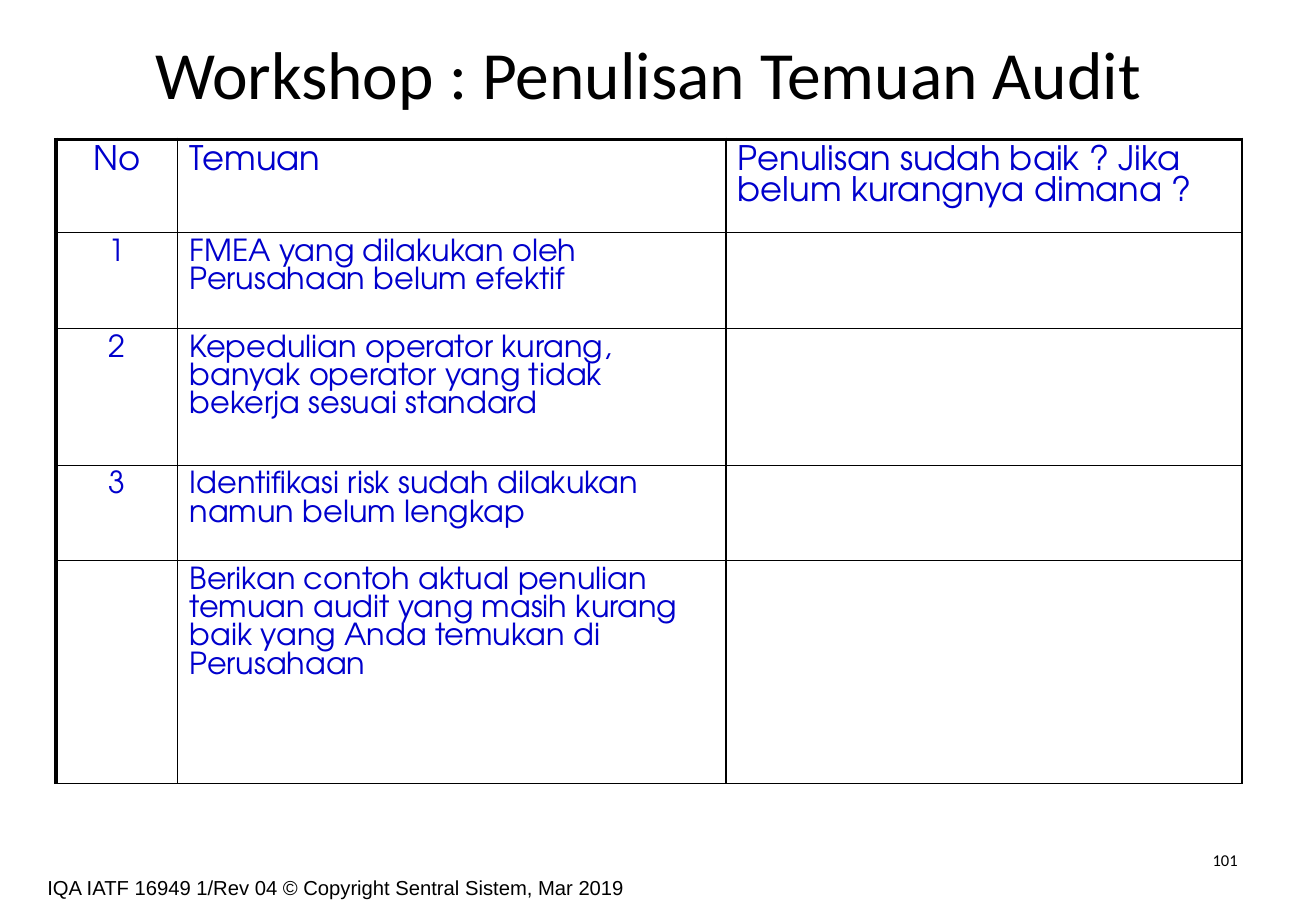
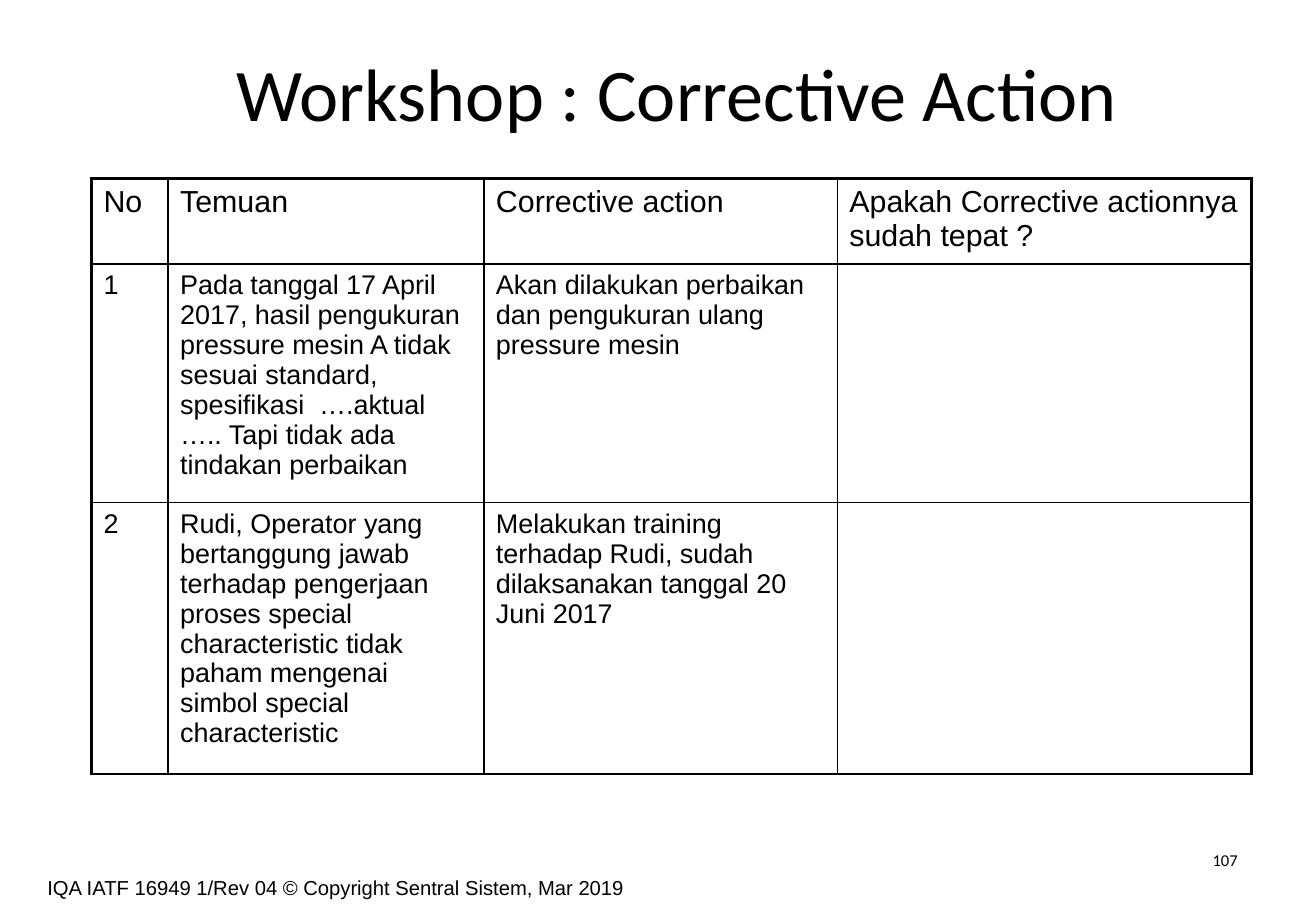
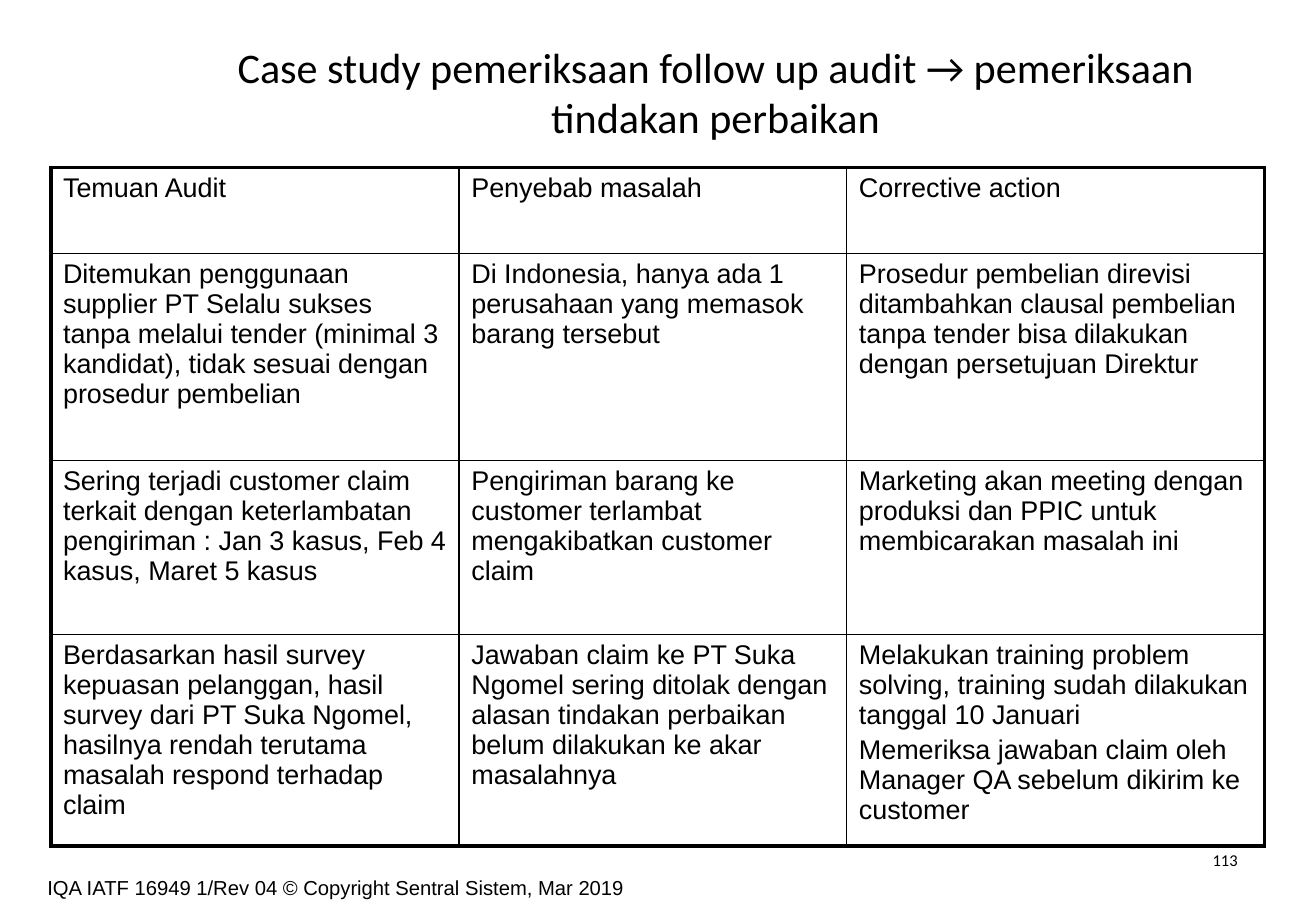
from lxml.etree import SubElement
from pptx import Presentation
from pptx.dml.color import RGBColor
from pptx.enum.text import MSO_ANCHOR, PP_ALIGN
from pptx.oxml.ns import qn
from pptx.util import Pt

COLORS = {"ink": "000000", "blue": "0000CC", "paper": "FFFFFF"}
HEAVY, THIN = 2.25, 1
FOOTER = "IQA IATF 16949 1/Rev 04 © Copyright Sentral Sistem, Mar 2019"


def write(tf, text, size=16, font="Arial", color="ink", align=PP_ALIGN.LEFT, gap=3):
    """Fill a text frame, one paragraph per line of text."""
    for i, line in enumerate(text.split("\n")):
        p = tf.paragraphs[0] if i == 0 else tf.add_paragraph()
        p.alignment = align
        if i:
            p.space_before = Pt(gap)
        r = p.add_run()
        r.text = line
        r.font.size = Pt(size)
        r.font.name = font
        r.font.color.rgb = RGBColor.from_string(COLORS[color])


def set_borders(cell, widths):
    """Draw cell borders; widths maps the sides L, R, T, B to points."""
    tc_pr = cell._tc.get_or_add_tcPr()
    for side in "LRTB":
        ln = SubElement(tc_pr, qn(f"a:ln{side}"), w=str(Pt(widths[side])))
        fill = SubElement(ln, qn("a:solidFill"))
        SubElement(fill, qn("a:srgbClr"), val=COLORS["ink"])


class Deck:
    def __init__(self, width, height):
        self.prs = Presentation()
        self.prs.slide_width, self.prs.slide_height = Pt(width), Pt(height)
        self.slide = None

    def text_box(self, box, text, anchor=MSO_ANCHOR.TOP, **style):
        tf = self.slide.shapes.add_textbox(*map(Pt, box)).text_frame
        tf.word_wrap = True
        tf.vertical_anchor = anchor
        write(tf, text, **style)

    def new_slide(self, title, title_box, title_size, number):
        """Start a slide with its title, footer and page number."""
        self.slide = self.prs.slides.add_slide(self.prs.slide_layouts[6])
        fill = self.slide.background.fill
        fill.solid()
        fill.fore_color.rgb = RGBColor.from_string(COLORS["paper"])
        self.text_box((21, 515, 431, 29), FOOTER, size=12)
        self.text_box(title_box, title, anchor=MSO_ANCHOR.MIDDLE,
                      size=title_size, font="Calibri", align=PP_ALIGN.CENTER)
        self.text_box((558.7, 500.4, 182, 29), str(number), size=9.8,
                      font="Calibri", align=PP_ALIGN.RIGHT)

    def table(self, left, top, cols, heights, rows, heavy, head_size=16,
              body_size=16, centered=(), **style):
        """Add a ruled table; heavy names its thick outer sides."""
        frame = self.slide.shapes.add_table(
            len(rows), len(cols), Pt(left), Pt(top), Pt(sum(cols)), Pt(sum(heights)))
        tbl = frame.table
        tbl.first_row = tbl.horz_banding = False
        for col, width in zip(tbl.columns, cols):
            col.width = Pt(width)
        for row, height in zip(tbl.rows, heights):
            row.height = Pt(height)
        for i, texts in enumerate(rows):
            for j, text in enumerate(texts):
                cell = tbl.cell(i, j)
                outer = {"L": j == 0, "R": j == len(cols) - 1,
                         "T": i == 0, "B": i == len(rows) - 1}
                set_borders(cell, {side: HEAVY if at_edge and side in heavy else THIN
                                   for side, at_edge in outer.items()})
                cell.fill.background()
                if text:
                    write(cell.text_frame, text,
                          size=body_size if i else head_size,
                          align=PP_ALIGN.CENTER if j in centered else PP_ALIGN.LEFT,
                          **style)


def main():
    deck = Deck(780, 540)

    deck.new_slide("Workshop : Penulisan Temuan Audit", (27.4, -2, 713.5, 90), 40, 101)
    deck.table(
        33.2, 82.6, (72, 325, 306), (44.5, 57, 81, 56.5, 132),
        [
            ("No", "Temuan", "Penulisan sudah baik ? Jika belum kurangnya dimana ?"),
            ("1", "FMEA yang dilakukan oleh Perusahaan belum efektif", ""),
            ("2", "Kepedulian operator kurang, banyak operator yang tidak "
                  "bekerja sesuai standard", ""),
            ("3", "Identifikasi risk sudah dilakukan namun belum lengkap", ""),
            ("", "Berikan contoh aktual penulian temuan audit yang masih kurang "
                 "baik yang Anda temukan di Perusahaan", ""),
        ],
        heavy="LT", head_size=20, body_size=18, centered=(0,),
        font="TeX Gyre Adventor", color="blue")

    deck.new_slide("Workshop : Corrective Action", (50.5, 9.4, 702, 90), 44, 107)
    deck.table(
        54.2, 106, (45.4, 187.2, 209.5, 245.5), (47.4, 131.6, 148.7),
        [
            ("No", "Temuan", "Corrective action",
             "Apakah Corrective actionnya sudah tepat ?"),
            ("1", "Pada tanggal 17 April 2017, hasil pengukuran pressure mesin A "
                  "tidak sesuai standard, spesifikasi  ….aktual ….. Tapi tidak ada "
                  "tindakan perbaikan",
             "Akan dilakukan perbaikan dan pengukuran ulang pressure mesin", ""),
            ("2", "Rudi, Operator yang bertanggung jawab terhadap pengerjaan proses "
                  "special characteristic tidak paham mengenai simbol special "
                  "characteristic",
             "Melakukan training terhadap Rudi, sudah dilaksanakan tanggal "
             "20 Juni 2017", ""),
        ],
        heavy="LTR", head_size=18)

    deck.new_slide("Case study pemeriksaan follow up audit → pemeriksaan "
                   "tindakan perbaikan", (107.3, 9.4, 633.6, 90), 25, 113)
    deck.table(
        30.2, 99.2, (242, 229.7, 247.7), (51, 122.7, 103.2, 116.7),
        [
            ("Temuan Audit", "Penyebab masalah", "Corrective action"),
            ("Ditemukan penggunaan supplier PT Selalu sukses tanpa melalui tender "
             "(minimal 3 kandidat), tidak sesuai dengan prosedur pembelian",
             "Di Indonesia, hanya ada 1 perusahaan yang memasok barang tersebut",
             "Prosedur pembelian direvisi ditambahkan clausal pembelian tanpa "
             "tender bisa dilakukan dengan persetujuan Direktur"),
            ("Sering terjadi customer claim terkait dengan keterlambatan "
             "pengiriman : Jan 3 kasus, Feb 4 kasus, Maret 5 kasus",
             "Pengiriman barang ke customer terlambat mengakibatkan customer claim",
             "Marketing akan meeting dengan produksi dan PPIC untuk membicarakan "
             "masalah ini"),
            ("Berdasarkan hasil survey kepuasan pelanggan, hasil survey dari PT Suka "
             "Ngomel, hasilnya rendah terutama masalah respond terhadap claim",
             "Jawaban claim ke PT Suka Ngomel sering ditolak dengan alasan tindakan "
             "perbaikan belum dilakukan ke akar masalahnya",
             "Melakukan training problem solving, training sudah dilakukan tanggal "
             "10 Januari\nMemeriksa jawaban claim oleh Manager QA sebelum dikirim "
             "ke customer"),
        ],
        heavy="LTRB")

    deck.prs.save("out.pptx")


if __name__ == "__main__":
    main()
